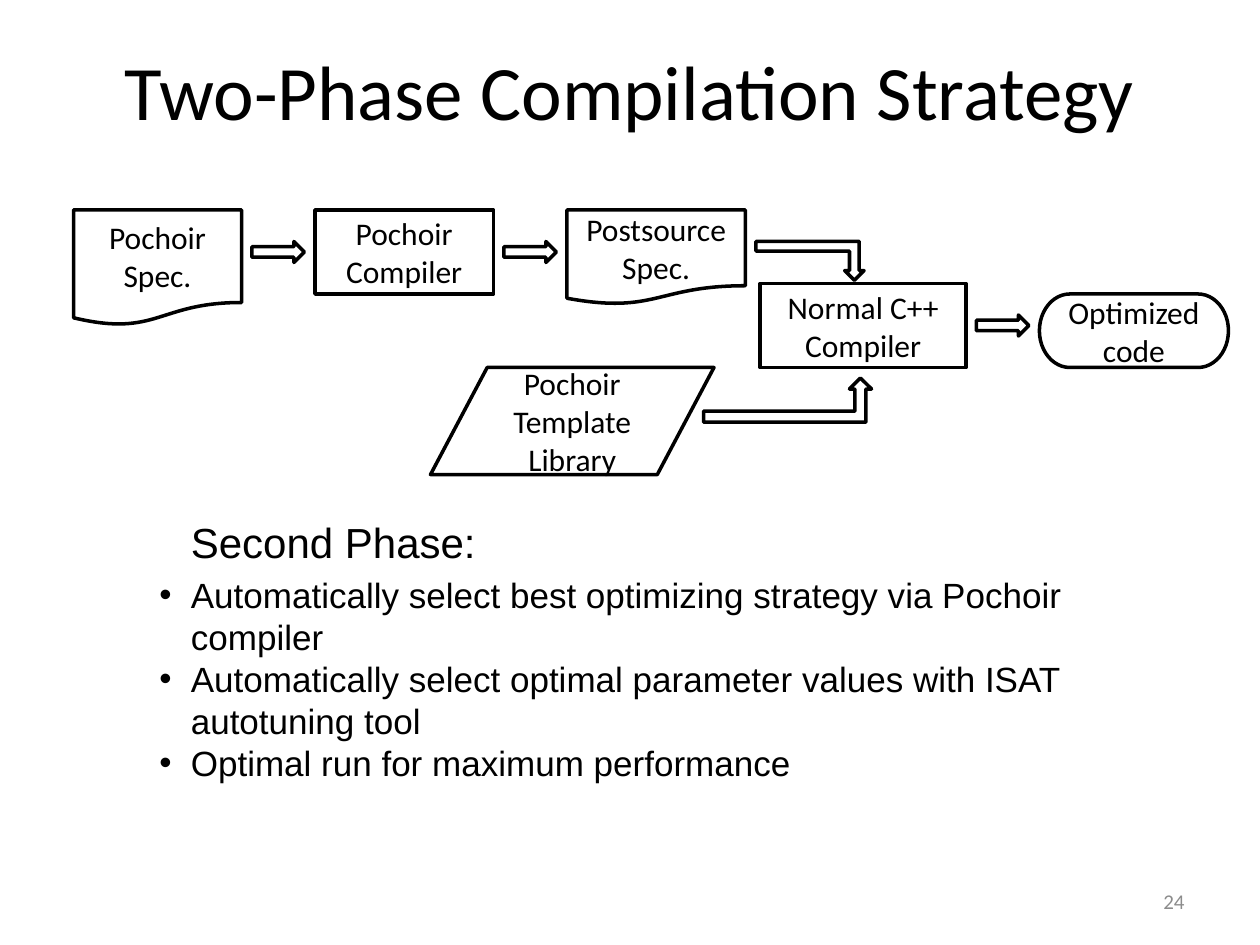
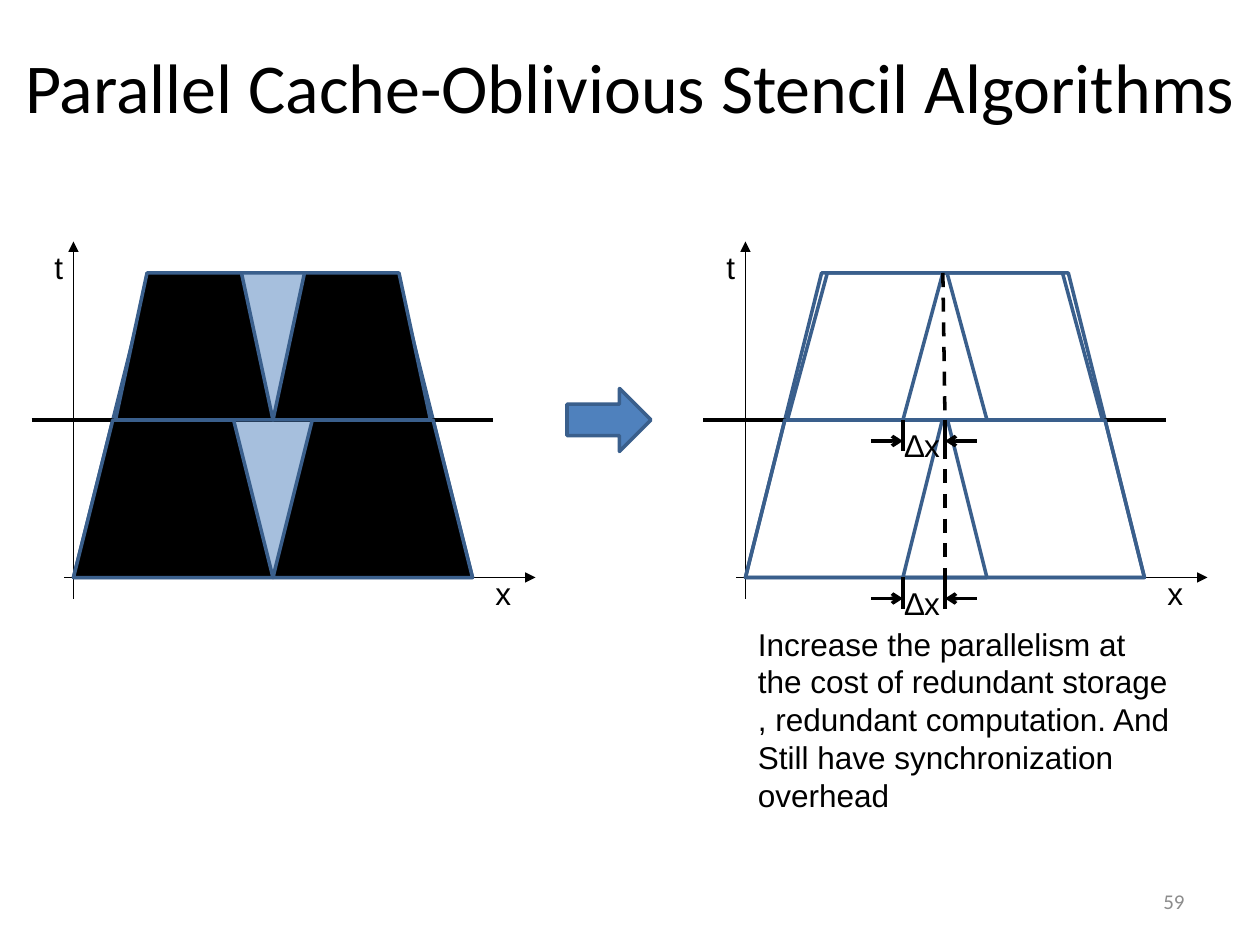
from dataclasses import dataclass
from itertools import product

from lxml import etree
from pptx import Presentation
from pptx import util as u
from pptx.dml.color import RGBColor
from pptx.enum import dml, shapes, text
from pptx.oxml.ns import qn

# The grid has 12 cells to the inch: 120 columns by 90 rows.
CELL = u.Inches(1) / 12
COLS, ROWS = 120, 90
BLACK, WHITE, GREY = "000000", "FFFFFF", "8C8C8C"
BLUE, NAVY = "4F81BD", "3A5F8C"
BODY, HEAD = "Arial", "Calibri"
KIND = shapes.MSO_SHAPE
LEFT, MID, RIGHT = text.PP_ALIGN.LEFT, text.PP_ALIGN.CENTER, text.PP_ALIGN.RIGHT


@dataclass(frozen=True)
class Box:
    col: float
    row: float
    wide: float
    high: float

    def place(self) -> list[int]:
        return [cell(n) for n in (self.col, self.row, self.wide, self.high)]


@dataclass(frozen=True)
class Step:
    """One stage of the compile flow."""
    kind: int
    box: Box
    words: str = ""
    flip: bool = False


@dataclass(frozen=True)
class Panel:
    """One space-time plot: two tiers, each split into two trapezoids."""
    left: float
    base: float
    fill: str | None
    shade: str | None


def cell(count: float) -> int:
    return round(count * CELL)


def shade(name: str) -> RGBColor:
    return RGBColor.from_string(name)


def write(frame, words: str, size: float = 18, font: str = BODY,
          color: str = BLACK, align=LEFT, bullet: bool = False,
          more: bool = False, before: float = 0) -> None:
    """Put each line of words in a paragraph; more adds below present text."""
    for num, line in enumerate(words.split("\n")):
        para = frame.add_paragraph() if more or num else frame.paragraphs[0]
        para.alignment = align
        if bullet:
            prop = para._p.get_or_add_pPr()
            prop.set("marL", str(u.Inches(0.5)))
            prop.set("indent", str(-u.Inches(0.25)))
            etree.SubElement(prop, qn("a:buFont")).set("typeface", BODY)
            etree.SubElement(prop, qn("a:buChar")).set("char", "•")
        if before and not num:
            para.space_before = u.Pt(before)
        run = para.add_run()
        run.text = line
        run.font.size = u.Pt(size)
        run.font.name = font
        run.font.color.rgb = shade(color)


def label(slide, box: Box, words: str = "", wrap: bool = True,
          anchor=text.MSO_ANCHOR.TOP, **style):
    frame = slide.shapes.add_textbox(*box.place()).text_frame
    frame.word_wrap = wrap
    frame.vertical_anchor = anchor
    if not wrap:
        frame.auto_size = text.MSO_AUTO_SIZE.SHAPE_TO_FIT_TEXT
    if words:
        write(frame, words, **style)
    return frame


def paint(shape, fill: str | None, line: str, clear: int = 0) -> None:
    """Set fill and outline; clear is the fill's transparency in percent."""
    shape.shadow.inherit = False
    shape.line.color.rgb = shade(line)
    shape.line.width = u.Pt(2)
    if fill is None:
        shape.fill.background()
        return
    shape.fill.solid()
    shape.fill.fore_color.rgb = shade(fill)
    if clear:
        tint = shape._element.spPr.find(f"{qn('a:solidFill')}/{qn('a:srgbClr')}")
        etree.SubElement(tint, qn("a:alpha")).set("val", str((100 - clear) * 1000))


def form(slide, kind: int, box: Box, fill: str | None, line: str, clear: int = 0):
    shape = slide.shapes.add_shape(kind, *box.place())
    paint(shape, fill, line, clear)
    return shape


def rule(slide, start: tuple, end: tuple, width: float = 2,
         tip: str = "", dash: bool = False) -> None:
    ends = [cell(n) for n in (*start, *end)]
    link = slide.shapes.add_connector(shapes.MSO_CONNECTOR.STRAIGHT, *ends)
    link.line.color.rgb = shade(BLACK)
    link.line.width = u.Pt(width)
    if dash:
        link.line.dash_style = dml.MSO_LINE.DASH
    if tip:
        etree.SubElement(link.line._get_or_add_ln(), qn("a:tailEnd")).set("type", tip)
    etree.SubElement(link._element.spPr, qn("a:effectLst"))


def start(deck, title: str, size: float, box: Box, page: int):
    """Add a slide with its title and page number."""
    slide = deck.slides.add_slide(deck.slide_layouts[6])
    label(slide, box, title, size=size, font=HEAD, align=MID)
    label(slide, Box(86, 83.4, 28, 4.8), str(page), anchor=text.MSO_ANCHOR.MIDDLE,
          size=12, font=HEAD, color=GREY, align=RIGHT)
    return slide


FLOW = [
    Step(KIND.FLOWCHART_DOCUMENT, Box(7, 20, 16, 11), "Pochoir\nSpec."),
    Step(KIND.FLOWCHART_DATA, Box(41, 35, 27, 10.2), "Pochoir Template Library"),
    Step(KIND.FLOWCHART_PROCESS, Box(72.4, 27, 19.6, 8), "Normal C++ Compiler"),
    Step(KIND.FLOWCHART_TERMINATOR, Box(99, 28, 18, 7), "Optimized code"),
    Step(KIND.FLOWCHART_PROCESS, Box(30, 20, 17, 8), "Pochoir\nCompiler"),
    Step(KIND.FLOWCHART_DOCUMENT, Box(54, 20, 17, 9), "Postsource\nSpec."),
    Step(KIND.BENT_UP_ARROW, Box(67, 36, 16, 4.2)),
    Step(KIND.BENT_UP_ARROW, Box(72, 23, 10.3, 3.7), flip=True),
    *(Step(KIND.RIGHT_ARROW, Box(col, row, 5, 2))
      for col, row in ((24, 23), (48, 23), (93, 30))),
]
GOALS = """Automatically select best optimizing strategy via Pochoir compiler
Automatically select optimal parameter values with ISAT autotuning tool
Optimal run for maximum performance"""
COST = """Increase the parallelism at
the cost of redundant storage
, redundant computation. And
Still have synchronization
overhead"""

# Rows of the plots on the second slide, and the span of a whole plot.
TOP, HALF, FLOOR, SPAN = 26, 40, 55, 38
SLOPE = 4


def phases(deck) -> None:
    slide = start(deck, "Two-Phase Compilation Strategy", 44,
                  Box(6, 3.6, 108, 15), 24)
    for step in FLOW:
        shape = form(slide, step.kind, step.box, WHITE, BLACK)
        if step.flip:
            shape._element.spPr.find(qn("a:xfrm")).set("flipV", "1")
        if step.words:
            shape.text_frame.vertical_anchor = text.MSO_ANCHOR.MIDDLE
            write(shape.text_frame, step.words, font=HEAD, align=MID)
    frame = label(slide, Box(11, 48.6, 101, 27.1), "Second Phase:", size=24)
    frame.paragraphs[0]._p.get_or_add_pPr().set("marL", str(u.Inches(0.5)))
    write(frame, GOALS, size=20, bullet=True, more=True, before=4)


def wedge(slide, left: float, base: float, fill: str | None) -> None:
    """Draw an upper-tier trapezoid whose sides lean in by a fifth."""
    lean = base / 5
    spots = [(left, HALF), (left + lean, TOP), (left + base - lean, TOP),
             (left + base, HALF)]
    path = [(cell(col), cell(row)) for col, row in spots]
    pen = slide.shapes.build_freeform(*path[0])
    pen.add_line_segments(path[1:], close=True)
    paint(pen.convert_to_shape(), fill, NAVY)


def plot(slide, panel: Panel) -> None:
    left, base = panel.left, panel.base
    rule(slide, (left - 0.9, FLOOR), (left + 44, FLOOR), 0.75, "triangle")
    rule(slide, (left, FLOOR + 2), (left, 23), 0.75, "triangle")
    label(slide, Box(left - 3, 23, 3.6, 4.8), "t", wrap=False)
    label(slide, Box(left + 39, 54.1, 4.2, 4.8), "x", wrap=False)
    form(slide, KIND.TRAPEZOID, Box(left, TOP, SPAN, FLOOR - TOP),
         panel.shade, NAVY, clear=50)
    rule(slide, (left - 4, HALF), (left + 40, HALF))
    for spot in (left + SLOPE, left + SPAN - SLOPE - base):
        wedge(slide, spot, base, panel.fill)
    wide = base + SLOPE
    for spot in (left, left + SPAN - wide):
        form(slide, KIND.TRAPEZOID, Box(spot, HALF, wide, FLOOR - HALF),
             panel.fill, NAVY)


def stencil(deck) -> None:
    slide = start(deck, "Parallel Cache-Oblivious Stencil Algorithms", 40,
                  Box(0, 3.6, COLS, 8.4), 59)
    plot(slide, Panel(7, 15, BLACK, BLUE))
    plot(slide, Panel(71, 19, None, None))
    form(slide, KIND.RIGHT_ARROW, Box(54, 37, 8, 6), BLUE, NAVY)

    near, mid = 86, 90
    rule(slide, (mid - 0.2, TOP), (mid, HALF), dash=True)
    rule(slide, (mid, HALF), (mid, FLOOR), dash=True)
    for row, (col, off) in product((FLOOR, HALF), ((near, -3), (mid, 3))):
        rule(slide, (col, row), (col, row + 3))
        rule(slide, (col + off, row + 2), (col, row + 2), tip="arrow")
    for row in (FLOOR, HALF):
        label(slide, Box(near - 1, row, 5.8, 4.8), "∆x", wrap=False)
    label(slide, Box(71, 58.9, 42.8, 19.4), COST, wrap=False)


def main() -> None:
    deck = Presentation()
    deck.slide_width, deck.slide_height = cell(COLS), cell(ROWS)
    phases(deck)
    stencil(deck)
    deck.save("out.pptx")


if __name__ == "__main__":
    main()
